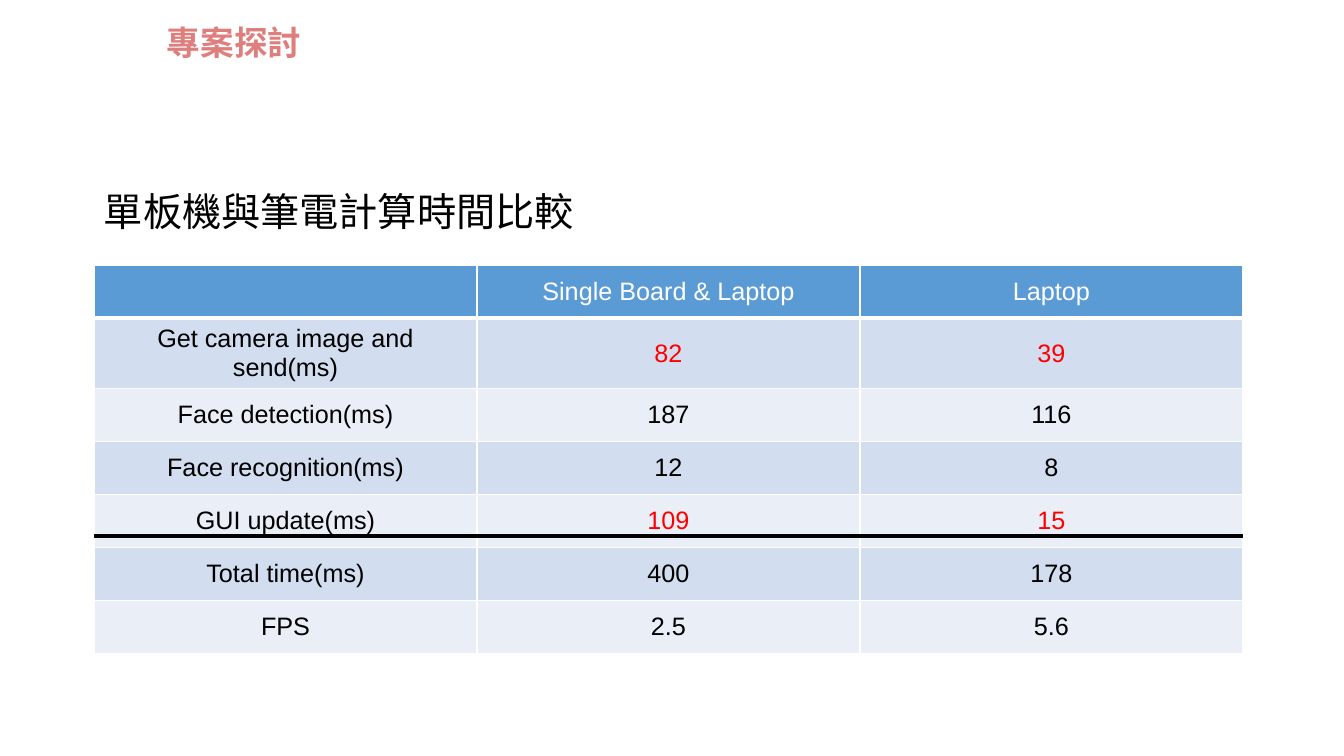
from lxml.etree import SubElement
from pptx import Presentation
from pptx.dml.color import RGBColor
from pptx.enum.shapes import MSO_CONNECTOR as Connector
from pptx.enum.text import MSO_ANCHOR as Anchor, MSO_AUTO_SIZE as AutoSize, PP_ALIGN as Align
from pptx.oxml.ns import qn
from pptx.util import Emu, Pt

PX = 914400 / 100.8
PAGE_SIZE = 1344, 756

HEADINGS = [
    ("專案探討", (157, 17, 156, 50),
     dict(name="Arial", size=Pt(24), bold=True), "DE7F7E"),
    ("單板機與筆電計算時間比較", (94, 182, 495, 57),
     dict(name="Noto Sans CJK SC", size=Pt(28)), "000000"),
]
TIMINGS = [
    ("", "Single Board & Laptop", "Laptop"),
    ("Get camera image and send(ms)", "82", "39"),
    ("Face detection(ms)", "187", "116"),
    ("Face recognition(ms)", "12", "8"),
    ("GUI update(ms)", "109", "15"),
    ("Total time(ms)", "400", "178"),
    ("FPS", "2.5", "5.6"),
]
SLOW_STEPS = 1, 4
TABLE_LEFT, TABLE_TOP, COLUMN_WIDTH = 94, 265, 383
ROW_HEIGHTS = [53, 59, 53, 53, 53, 53, 53]
CELL_FONT = dict(name="Arial", size=Pt(18), bold=False)
HEADER_FILL, BAND_FILLS = "5B9BD5", ("EAEFF7", "D2DEEF")
TOTAL_LINE_Y = 536


def px(*lengths):
    return [Emu(round(length * PX)) for length in lengths]


def color(hex_text):
    return RGBColor.from_string(hex_text)


def write(frame, text, font_format, hex_text):
    span = frame.paragraphs[0].add_run()
    span.text = text
    for name, value in font_format.items():
        setattr(span.font, name, value)
    span.font.color.rgb = color(hex_text)
    SubElement(span.font._element, qn("a:ea"), typeface=font_format["name"])


def add_borders(cell, widths):
    """Draw white borders, with widths in points by side: L, R, T, B."""
    for side, width in widths.items():
        line = SubElement(cell._tc.get_or_add_tcPr(), qn(f"a:ln{side}"), w=str(Pt(width)))
        fill = SubElement(line, qn("a:solidFill"))
        SubElement(fill, qn("a:srgbClr"), val="FFFFFF")


def add_heading(page, text, place, font_format, hex_text):
    frame = page.shapes.add_textbox(*px(*place)).text_frame
    frame.word_wrap = False
    frame.auto_size = AutoSize.SHAPE_TO_FIT_TEXT
    write(frame, text, font_format, hex_text)


def add_timings(page):
    row_count, column_count = len(TIMINGS), len(TIMINGS[0])
    place = px(TABLE_LEFT, TABLE_TOP, COLUMN_WIDTH * column_count, sum(ROW_HEIGHTS))
    table = page.shapes.add_table(row_count, column_count, *place).table
    for column in table.columns:
        column.width = px(COLUMN_WIDTH)[0]
    for r, values in enumerate(TIMINGS):
        table.rows[r].height = px(ROW_HEIGHTS[r])[0]
        for c, value in enumerate(values):
            cell = table.cell(r, c)
            add_borders(cell, dict(L=1, R=1, T=3 if r == 1 else 1, B=3 if r == 0 else 1))
            cell.fill.solid()
            cell.fill.fore_color.rgb = color(BAND_FILLS[r % 2] if r else HEADER_FILL)
            cell.vertical_anchor = Anchor.MIDDLE
            cell.text_frame.paragraphs[0].alignment = Align.CENTER
            ink = "FFFFFF" if r == 0 else "FF0000" if c and r in SLOW_STEPS else "000000"
            if value:
                write(cell.text_frame, value, CELL_FONT, ink)


def add_total_line(page):
    right = TABLE_LEFT + COLUMN_WIDTH * len(TIMINGS[0])
    ends = px(TABLE_LEFT, TOTAL_LINE_Y, right, TOTAL_LINE_Y)
    total_line = page.shapes.add_connector(Connector.STRAIGHT, *ends)
    total_line.line.color.rgb = color("000000")
    total_line.line.width = Pt(2.25)
    SubElement(total_line._element.spPr, qn("a:effectLst"))


def main():
    deck = Presentation()
    deck.slide_width, deck.slide_height = px(*PAGE_SIZE)
    page = deck.slides.add_slide(deck.slide_layouts[6])
    title, subtitle = HEADINGS
    add_heading(page, *title)
    add_timings(page)
    add_heading(page, *subtitle)
    add_total_line(page)
    deck.save("out.pptx")


if __name__ == "__main__":
    main()
